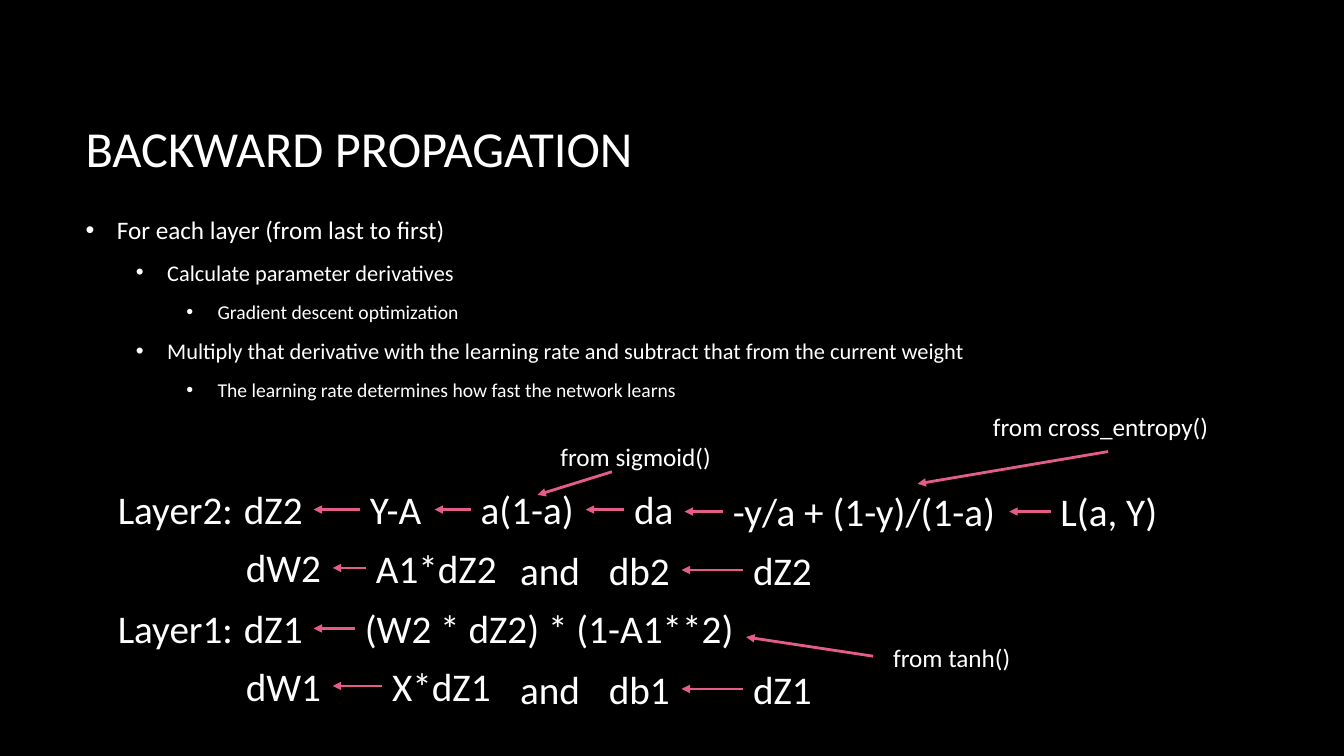
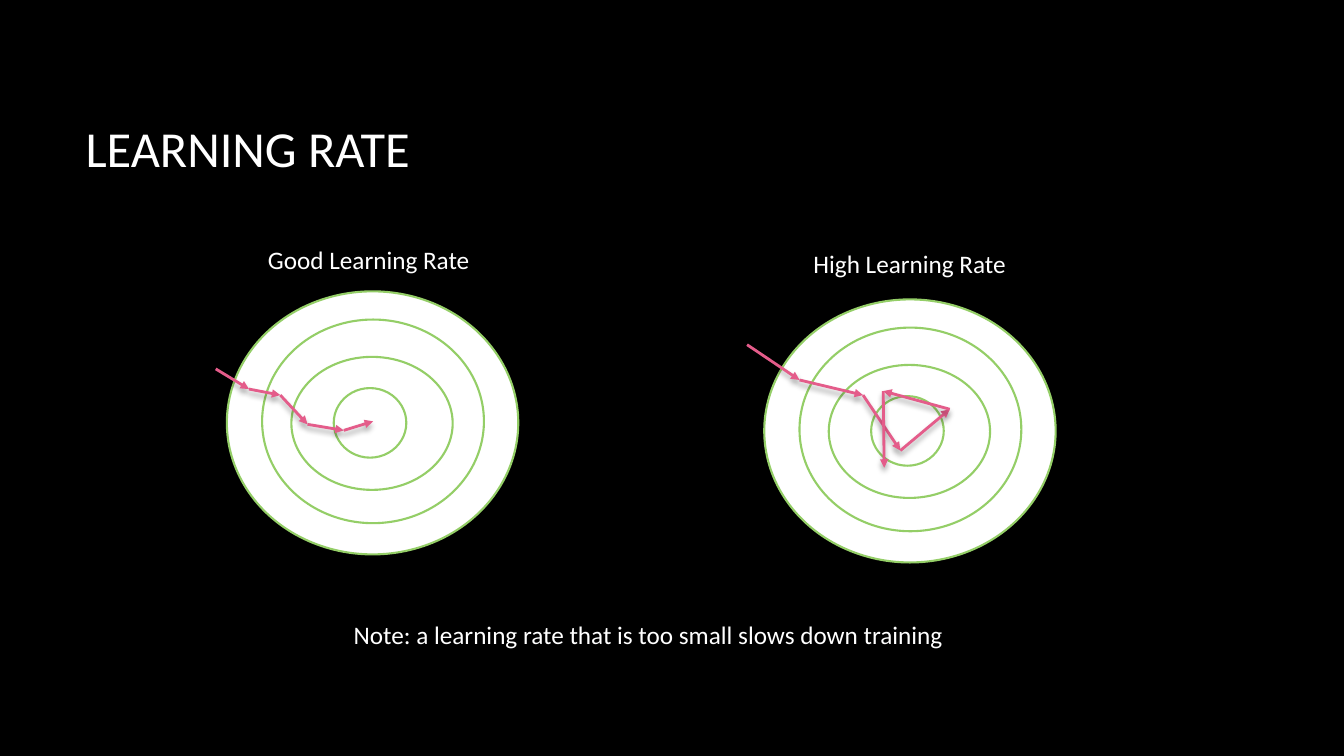
from dataclasses import dataclass

import pptx
import pptx.dml.color
import pptx.enum.shapes
import pptx.enum.text
import pptx.oxml
import pptx.oxml.ns
import pptx.util
from pptx.util import Inches, Pt


def rgb(code):
    return pptx.dml.color.RGBColor.from_string(code)


@dataclass(frozen=True)
class Theme:
    font: str = "Calibri"
    background: str = "000000"
    text: str = "FFFFFF"
    arrow: str = "E45C8A"
    ring: str = "94CE67"
    title_size: int = 36
    formula_size: int = 28
    label_size: int = 18
    bullet_sizes: tuple = (18, 16, 14)
    arrow_width: float = 2
    ring_width: float = 1.5


THEME = Theme()
NS = pptx.oxml.ns.nsdecls("a")

TITLE_BOX = (0.75, 0.67, 11.08, 1.59)
BODY_BOX = (0.75, 1.96, 11.08, 2.19)
FORMULA_HEIGHT = 0.57
LABEL_HEIGHT = 0.4
BULLET_INDENT, LEVEL_STEP = 0.31, 0.5

# (level, text)
BULLETS = [
    (0, "For each layer (from last to first)"),
    (1, "Calculate parameter derivatives"),
    (2, "Gradient descent optimization"),
    (1, "Multiply that derivative with the learning rate and subtract "
        "that from the current weight"),
    (2, "The learning rate determines how fast the network learns"),
]

# Terms are (text, left, drop below the layer's top, width).
# Each term after the first in a chain feeds the one before it.
LAYERS = [
    dict(number=2, top=4.77,
         sources=[("Y-A", 3.57, 0, 0.74), ("a(1-a)", 4.67, 0, 1.14),
                  ("da", 6.19, 0, 0.6), ("-y/a + (1-y)/(1-a)", 7.17, 0.02, 2.84),
                  ("L(a, Y)", 10.42, 0.02, 1.17)],
         weight_source=("A1*dZ2", 3.63, 0.58, 1.43)),
    dict(number=1, top=5.95,
         sources=[("(W2 * dZ2) * (1-A1**2)", 3.52, 0, 4)],
         weight_source=("X*dZ1", 3.79, 0.57, 1.19)),
]

# (text, left, top, width, arrow start, arrow end)
ORIGINS = [
    ("from sigmoid()", 5.46, 4.33, 1.71, (6.07, 4.68), (5.33, 4.91)),
    ("from tanh()", 8.76, 6.32, 1.38, (8.66, 6.51), (7.4, 6.32)),
    ("from cross_entropy()", 9.75, 4.03, 2.36, (10.99, 4.48), (9.1, 4.8)),
]

# Rings from outer to inner, relative to the target's left and top
RINGS = [(0, 0, 2.89, 2.61), (0.35, 0.28, 2.2, 2.02),
         (0.64, 0.65, 1.6, 1.32), (1.06, 0.96, 0.72, 0.69)]
TARGETS = [
    dict(label=("Good Learning Rate", 2.56, 2.37, 2.23), corner=(2.25, 2.89),
         steps=[(2.14, 3.66), (2.47, 3.86), (2.78, 3.92), (3.05, 4.21),
                (3.41, 4.27), (3.7, 4.18)]),
    dict(label=("High Learning Rate", 7.97, 2.41, 2.13), corner=(7.58, 2.97),
         steps=[(7.41, 3.42), (7.93, 3.77), (8.56, 3.92), (8.93, 4.47),
                (9.42, 4.06), (8.76, 3.88), (8.77, 4.64)]),
]
NOTE = ("Note: a learning rate that is too small slows down training",
        3.41, 6.09, 6.11)


def style_paragraph(p, size):
    for r in p.runs:
        r.font.name = THEME.font
        r.font.size = Pt(size)
        r.font.color.rgb = rgb(THEME.text)


def add_frame(s, box):
    """Add a wrapped, vertically centred text box and return its text frame."""
    tf = s.shapes.add_textbox(*map(Inches, box)).text_frame
    tf.word_wrap = True
    tf.vertical_anchor = pptx.enum.text.MSO_ANCHOR.MIDDLE
    return tf


def add_slide(prs, title):
    s = prs.slides.add_slide(prs.slide_layouts[6])
    s.background.fill.solid()
    s.background.fill.fore_color.rgb = rgb(THEME.background)
    tf = add_frame(s, TITLE_BOX)
    tf.text = title
    style_paragraph(tf.paragraphs[0], THEME.title_size)
    return s


def add_bullets(s):
    tf = add_frame(s, BODY_BOX)
    tf.text = "\n".join(text for _, text in BULLETS)
    for p, (level, _) in zip(tf.paragraphs, BULLETS):
        p.level = level
        p.space_after = Pt(10)
        style_paragraph(p, THEME.bullet_sizes[level])
        pPr = p._p.get_or_add_pPr()
        pPr.set("marL", str(Inches(BULLET_INDENT + level * LEVEL_STEP)))
        pPr.set("indent", str(Inches(-BULLET_INDENT)))
        pPr.append(pptx.oxml.parse_xml(f'<a:buFont {NS} typeface="Arial"/>'))
        pPr.append(pptx.oxml.parse_xml(f'<a:buChar {NS} char="•"/>'))


def add_text(s, text, left, top, width, height, size):
    """Add a single line of text in a box that fits it."""
    tf = s.shapes.add_textbox(*map(Inches, (left, top, width, height))).text_frame
    tf.word_wrap = False
    tf.auto_size = pptx.enum.text.MSO_AUTO_SIZE.SHAPE_TO_FIT_TEXT
    tf.text = text
    style_paragraph(tf.paragraphs[0], size)


def add_label(s, text, left, top, width):
    add_text(s, text, left, top, width, LABEL_HEIGHT, THEME.label_size)


def add_arrow(s, start, end):
    line = s.shapes.add_connector(pptx.enum.shapes.MSO_CONNECTOR.STRAIGHT,
                                  *map(Inches, (*start, *end)))
    line.line.color.rgb = rgb(THEME.arrow)
    line.line.width = Pt(THEME.arrow_width)
    line.line._get_or_add_ln().append(
        pptx.oxml.parse_xml(f'<a:tailEnd {NS} type="triangle"/>'))
    line._element.spPr.append(pptx.oxml.parse_xml(
        f'<a:effectLst {NS}><a:outerShdw blurRad="{Pt(4)}" dist="{Pt(3)}" '
        'dir="5400000" rotWithShape="0"><a:srgbClr val="000000">'
        '<a:alpha val="35000"/></a:srgbClr></a:outerShdw></a:effectLst>'))


def add_chain(s, top, terms):
    """Write the terms of a formula, with an arrow from each to the one before."""
    for text, left, drop, width in terms:
        add_text(s, text, left, top + drop, width, FORMULA_HEIGHT,
                 THEME.formula_size)
    for (_, left, _, width), (_, source_left, drop, _) in zip(terms, terms[1:]):
        middle = top + drop + FORMULA_HEIGHT / 2
        add_arrow(s, (source_left, middle), (left + width, middle))


def add_layer(s, number, top, sources, weight_source):
    dz = f"dZ{number}"
    chains = [
        [(f"Layer{number}:", 1.07, 0, 1.36)],
        [(dz, 2.32, 0, 0.79), *sources],
        [(f"dW{number}", 2.34, 0.57, 0.96), weight_source],
        [("and", 5.06, 0.6, 0.8)],
        [(f"db{number}", 5.94, 0.6, 0.82), (dz, 7.37, 0.6, 0.79)],
    ]
    for terms in chains:
        add_chain(s, top, terms)


def add_target(s, label, corner, steps):
    """Draw the rings of a loss surface and the descent across them."""
    left, top = corner
    for dx, dy, width, height in RINGS:
        ring = s.shapes.add_shape(
            pptx.enum.shapes.MSO_SHAPE.OVAL,
            *map(Inches, (left + dx, top + dy, width, height)))
        ring.shadow.inherit = False
        ring.fill.solid()
        ring.fill.fore_color.rgb = rgb(THEME.text)
        ring.line.color.rgb = rgb(THEME.ring)
        ring.line.width = Pt(THEME.ring_width)
    add_label(s, *label)
    for start, end in zip(steps, steps[1:]):
        add_arrow(s, start, end)


def main():
    prs = pptx.Presentation()
    prs.slide_width, prs.slide_height = Inches(13.33), Inches(7.5)

    s = add_slide(prs, "BACKWARD PROPAGATION")
    add_bullets(s)
    for layer in LAYERS:
        add_layer(s, **layer)
    for *label, start, end in ORIGINS:
        add_label(s, *label)
        add_arrow(s, start, end)

    s = add_slide(prs, "LEARNING RATE")
    for target in TARGETS:
        add_target(s, **target)
    add_label(s, *NOTE)

    prs.save("out.pptx")


if __name__ == "__main__":
    main()
